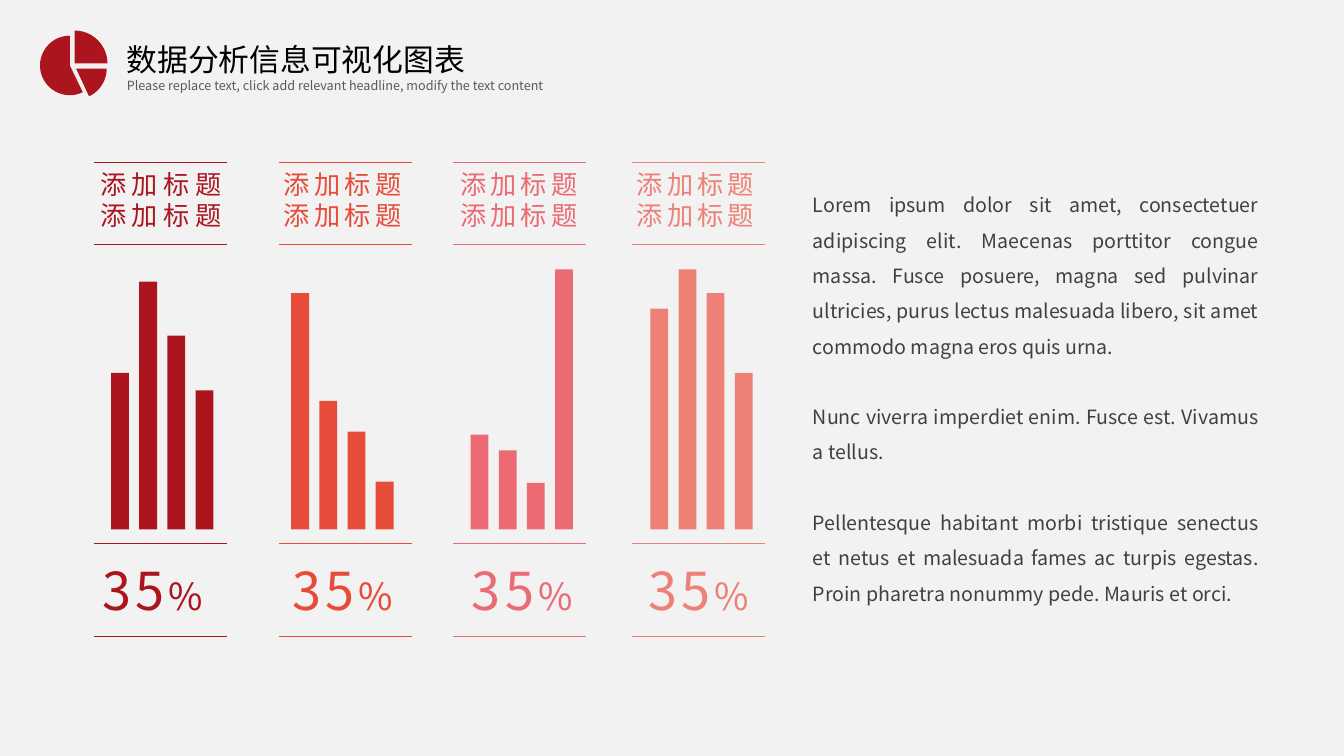
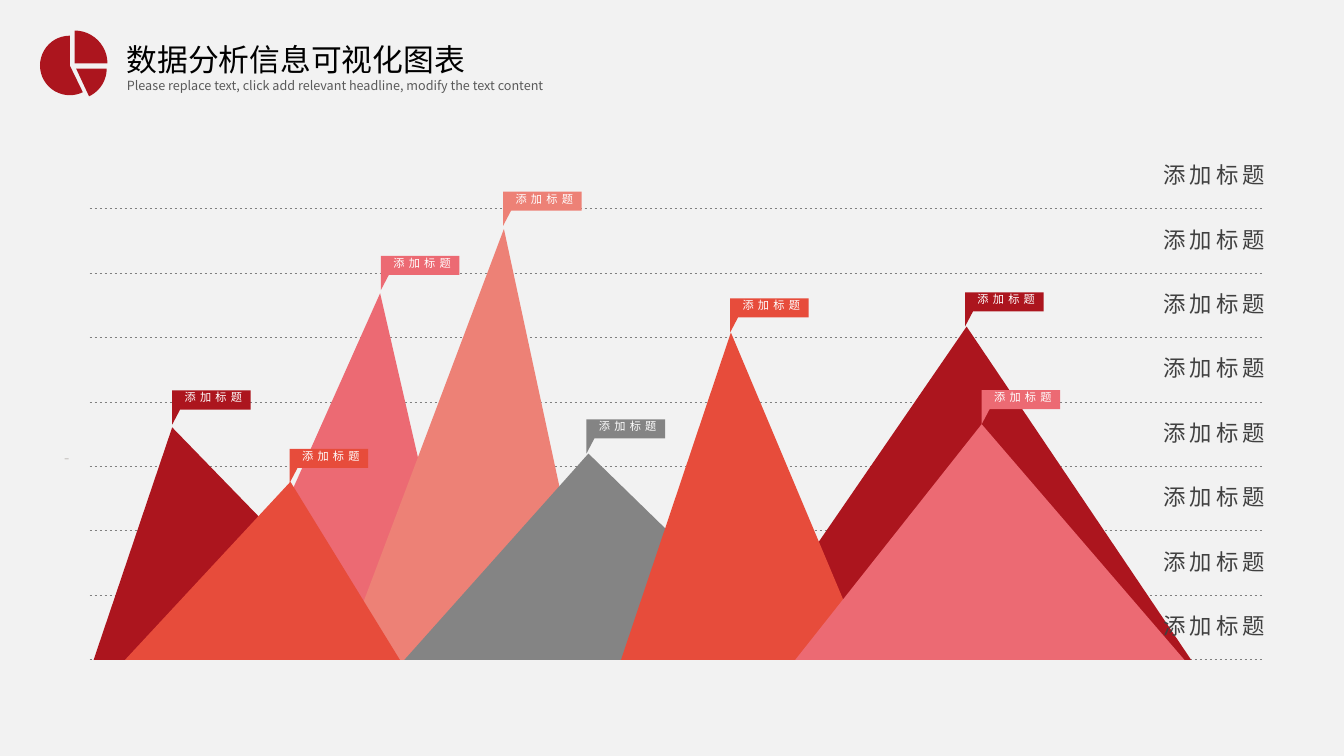
from lxml.etree import SubElement
from pptx import Presentation
from pptx.dml.color import RGBColor
from pptx.enum.dml import MSO_LINE
from pptx.enum.shapes import MSO_CONNECTOR, MSO_SHAPE
from pptx.enum.text import MSO_ANCHOR, MSO_AUTO_SIZE, PP_ALIGN
from pptx.oxml.ns import qn
from pptx.util import Cm, Pt

PAPER = RGBColor(0xF2, 0xF2, 0xF2)
BLACK = RGBColor(0, 0, 0)
WHITE = RGBColor(0xFF, 0xFF, 0xFF)
DARK = RGBColor(0x40, 0x40, 0x40)
MUTED = RGBColor(0x59, 0x59, 0x59)
RULE = RGBColor(0x80, 0x80, 0x80)
GREY = RGBColor(0x84, 0x84, 0x84)
TAUPE = RGBColor(0x91, 0x89, 0x82)
RED = RGBColor(0xAC, 0x15, 0x1E)
ORANGE = RGBColor(0xE7, 0x4C, 0x3B)
PINK = RGBColor(0xEC, 0x6A, 0x73)
SALMON = RGBColor(0xED, 0x81, 0x76)

FONT = "Noto Sans CJK SC"
LABEL = "添加标题"
TITLE = "数据分析信息可视化图表"
HINT = "Please replace text, click add relevant headline, modify the text content"
BODY = [
    "Lorem ipsum dolor sit amet, consectetuer adipiscing elit. Maecenas porttitor "
    "congue massa. Fusce posuere, magna sed pulvinar ultricies, purus lectus "
    "malesuada libero, sit amet commodo magna eros quis urna.",
    "Nunc viverra imperdiet enim. Fusce est. Vivamus a tellus.",
    "Pellentesque habitant morbi tristique senectus et netus et malesuada fames ac "
    "turpis egestas. Proin pharetra nonummy pede. Mauris et orci.",
]
# left, colour, heading shift, heading tracking, bar shift, figure shift, bar heights
COLUMNS = [
    (2.38, RED, 0, 4, 0.42, -0.21, (3.94, 6.24, 4.88, 3.5)),
    (7.04, ORANGE, -0.08, 3, 0.3, -0.07, (5.95, 3.24, 2.46, 1.2)),
    (11.41, PINK, -0.01, 3, 0.45, 0.08, (2.39, 1.99, 1.17, 6.55)),
    (15.93, SALMON, -0.08, 3, 0.46, 0.01, (5.56, 6.55, 5.95, 3.94)),
]
# left, peak x, peak y, right, flag shift, flag lift, colour
PEAKS = [
    (18.59, 24.36, 8.23, 30.02, -0.04, 0, RED),
    (2.36, 4.34, 10.77, 10.03, 0, 0.07, RED),
    (5.46, 9.58, 7.39, 11.71, 0.02, 0.08, PINK),
    (8.61, 12.7, 5.77, 15.04, -0.02, 0.08, SALMON),
    (10.19, 14.83, 11.43, 20.17, -0.05, 0, GREY),
    (15.65, 18.42, 8.38, 21.89, -0.02, 0, ORANGE),
    (20.04, 24.74, 10.69, 29.85, 0, 0, PINK),
    (3.15, 7.32, 12.14, 10.08, -0.02, -0.03, ORANGE),
]


def place(shape, left, top, width, height):
    """Move a shape to a box given in centimetres."""
    shape.left, shape.top = Cm(left), Cm(top)
    shape.width, shape.height = Cm(width), Cm(height)


def add_run(para, text, size, color, track=0):
    """Add one formatted run to a paragraph."""
    run = para.add_run()
    run.text = text
    run.font.size, run.font.name = Pt(size), FONT
    run.font.color.rgb = color
    props = run.font._element
    SubElement(props, qn("a:ea")).set("typeface", FONT)
    if track:
        props.set("spc", str(track * 100))


def set_frame(frame, wrap=True):
    """Fix a text frame to the top of its box."""
    frame.auto_size = MSO_AUTO_SIZE.NONE
    frame.vertical_anchor = MSO_ANCHOR.TOP
    frame.word_wrap = wrap


def add_text(slide, box, lines, align=PP_ALIGN.CENTER, wrap=False):
    """Add a text box whose lines are lists of run settings."""
    frame = slide.shapes.add_textbox(*map(Cm, box)).text_frame
    set_frame(frame, wrap)
    for index, runs in enumerate(lines):
        para = frame.add_paragraph() if index else frame.paragraphs[0]
        para.alignment = align
        for run in runs:
            add_run(para, *run)


def paint(shape, color):
    """Give a shape a plain fill with no line or shadow."""
    shape.shadow.inherit = False
    shape.fill.solid()
    shape.fill.fore_color.rgb = color
    shape.line.fill.background()


def add_block(slide, box, color, kind=MSO_SHAPE.RECTANGLE):
    """Add a plain filled preset shape."""
    block = slide.shapes.add_shape(kind, *map(Cm, box))
    paint(block, color)
    return block


def add_rule(slide, left, top, width, color, weight, dash=None):
    """Draw a level line."""
    rule = slide.shapes.add_connector(
        MSO_CONNECTOR.STRAIGHT, Cm(left), Cm(top), Cm(left + width), Cm(top))
    rule.line.color.rgb, rule.line.width = color, Pt(weight)
    if dash:
        rule.line.dash_style = dash
    SubElement(rule._element.spPr, qn("a:effectLst"))


def add_outline(slide, points, color):
    """Draw a filled outline through points in centimetres."""
    first, *rest = [(Cm(x), Cm(y)) for x, y in points]
    maker = slide.shapes.build_freeform(*first)
    maker.add_line_segments(rest, close=True)
    paint(maker.convert_to_shape(), color)


def add_icon(slide, left, top):
    """Draw the pie icon from three wedges."""
    wedges = [(0, 0.13, 1.5, 64, 270), (0.04, 0, 1.66, 270, 0), (0.14, 0.19, 1.54, 0, 65)]
    for dx, dy, size, start, end in wedges:
        wedge = add_block(slide, (left + dx, top + dy, size, size), RED, MSO_SHAPE.PIE)
        wedge.adjustments[0], wedge.adjustments[1] = start * 0.6, end * 0.6


def start_slide(deck, layout):
    """Add a slide with the shared header."""
    slide = deck.slides.add_slide(deck.slide_layouts[layout])
    add_icon(slide, 1.01, 0.77)
    title = slide.shapes.title
    place(title, 2.94, 0.89, 10.82, 1.19)
    set_frame(title.text_frame)
    para = title.text_frame.paragraphs[0]
    para.alignment = PP_ALIGN.LEFT
    add_run(para, TITLE, 22, BLACK)
    add_text(slide, (2.95, 1.85, 12.8, 0.64), [[(HINT, 9, MUTED)]], PP_ALIGN.LEFT, True)
    return slide


def add_bars(slide, left, base, heights, color):
    """Stand a row of bars on a base line."""
    for index, height in enumerate(heights):
        add_block(slide, (left + 0.71 * index, base - height, 0.45, height), color)


def add_column(slide, left, top, color, head, track, bars, figure, heights):
    """Draw one column of heading, bars and figure."""
    width = 3.35
    add_bars(slide, left + bars, top + 9.25, heights, color)
    for drop in (0, 2.06, 9.6, 11.94):
        add_rule(slide, left, top + drop, width, color, 0.4)
    add_text(slide, (left + head, top + 0.02, width, 1.85),
             [[(LABEL, 18.7, color, track)]] * 2)
    add_text(slide, (left + figure, top + 9.85, width, 1.85),
             [[("35", 37.3, color, 3), ("%", 26.7, color, 3)]])


def fill_body(body, box):
    """Set the running text in the body placeholder."""
    place(body, *box)
    frame = body.text_frame
    set_frame(frame)
    for index, text in enumerate(BODY):
        para = frame.add_paragraph() if index else frame.paragraphs[0]
        props = para._p.get_or_add_pPr()
        props.set("marL", "0")
        props.set("indent", "0")
        SubElement(props, qn("a:buNone"))
        para.alignment, para.line_spacing = PP_ALIGN.JUSTIFY, 1.5
        para.space_before = Pt(25.2 if index else 0)
        add_run(para, text, 14, DARK)


def add_peak(slide, left, tip, top, right, shift, lift, color, base):
    """Draw a mountain with a labelled flag on its tip."""
    add_outline(slide, [(tip, top), (left, base), (right, base)], color)
    pole, foot = tip + shift, top - lift
    head = foot - 0.86
    band, end = head + 0.48, pole + 1.98
    add_outline(slide, [(end, head), (pole, head), (pole, foot),
                        (pole + 0.2, band), (end, band)], color)
    add_text(slide, (pole, head - 0.12, 2.08, 0.61), [[(LABEL, 8, WHITE, 3)]])


def make_bars(deck):
    """Build the slide of four bar columns."""
    slide = start_slide(deck, 1)
    for left, color, *rest in COLUMNS:
        add_column(slide, left, 4.09, color, *rest)
    fill_body(slide.placeholders[1], (20.23, 4.45, 11.75, 11.81))


def make_peaks(deck):
    """Build the slide of mountains on a ruled ground."""
    slide = start_slide(deck, 5)
    levels = [5.26 + 11.36 * step / 7 for step in range(8)]
    for level in levels:
        add_rule(slide, 2.26, level, 29.59, RULE, 0.5, MSO_LINE.DASH)
    add_block(slide, (1.63, 11.56, 0.1, 0.01), TAUPE)
    for peak in PEAKS:
        add_peak(slide, *peak, base=16.63)
    for level in levels:
        add_text(slide, (28.91, level - 1.32, 3.23, 0.94),
                 [[(LABEL, 16, DARK, 3)]], PP_ALIGN.RIGHT)


def main():
    """Build and save the deck."""
    deck = Presentation()
    deck.slide_width, deck.slide_height = Cm(33.87), Cm(19.05)
    ground = deck.slide_master.background.fill
    ground.solid()
    ground.fore_color.rgb = PAPER
    make_bars(deck)
    make_peaks(deck)
    deck.save("out.pptx")


if __name__ == "__main__":
    main()
